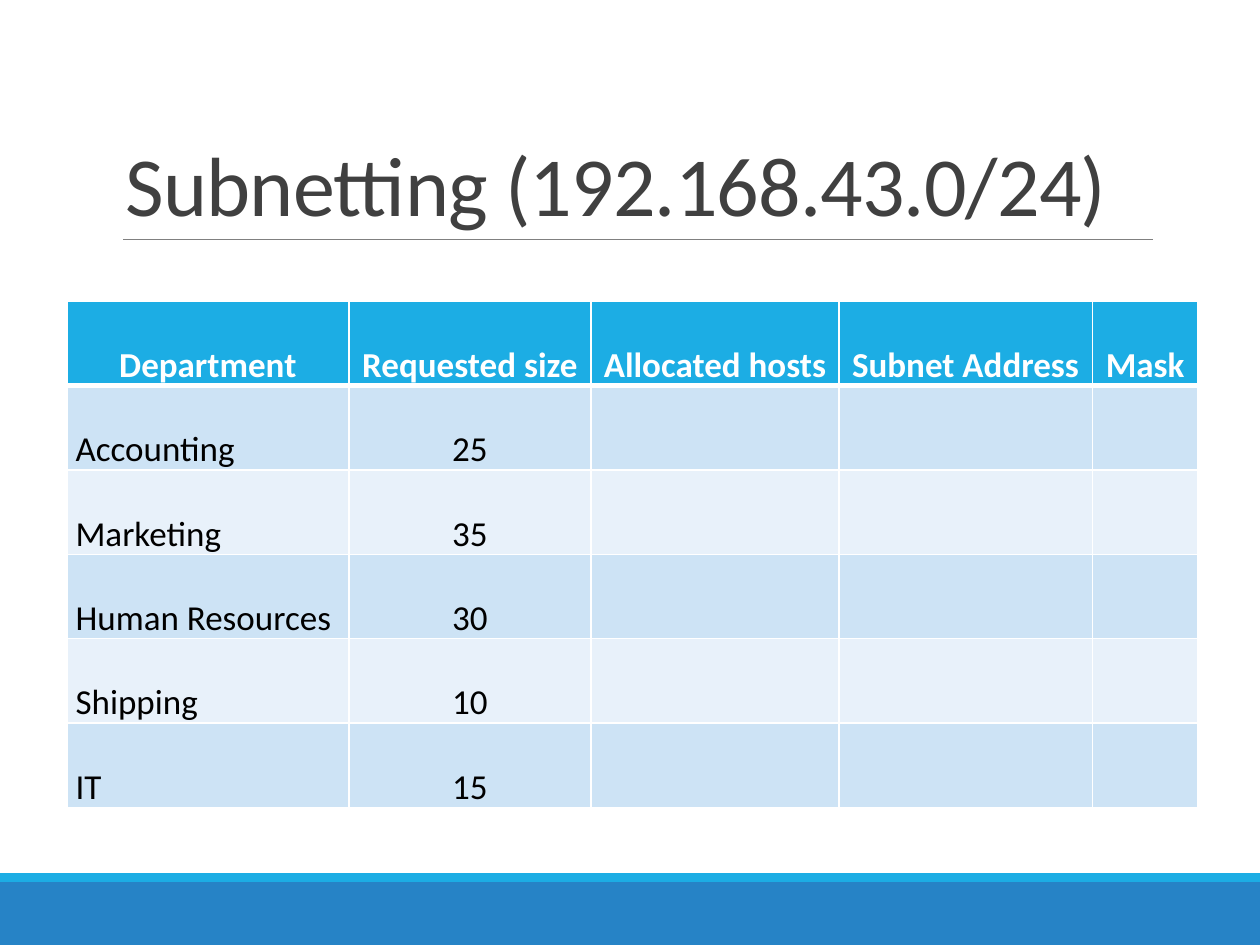
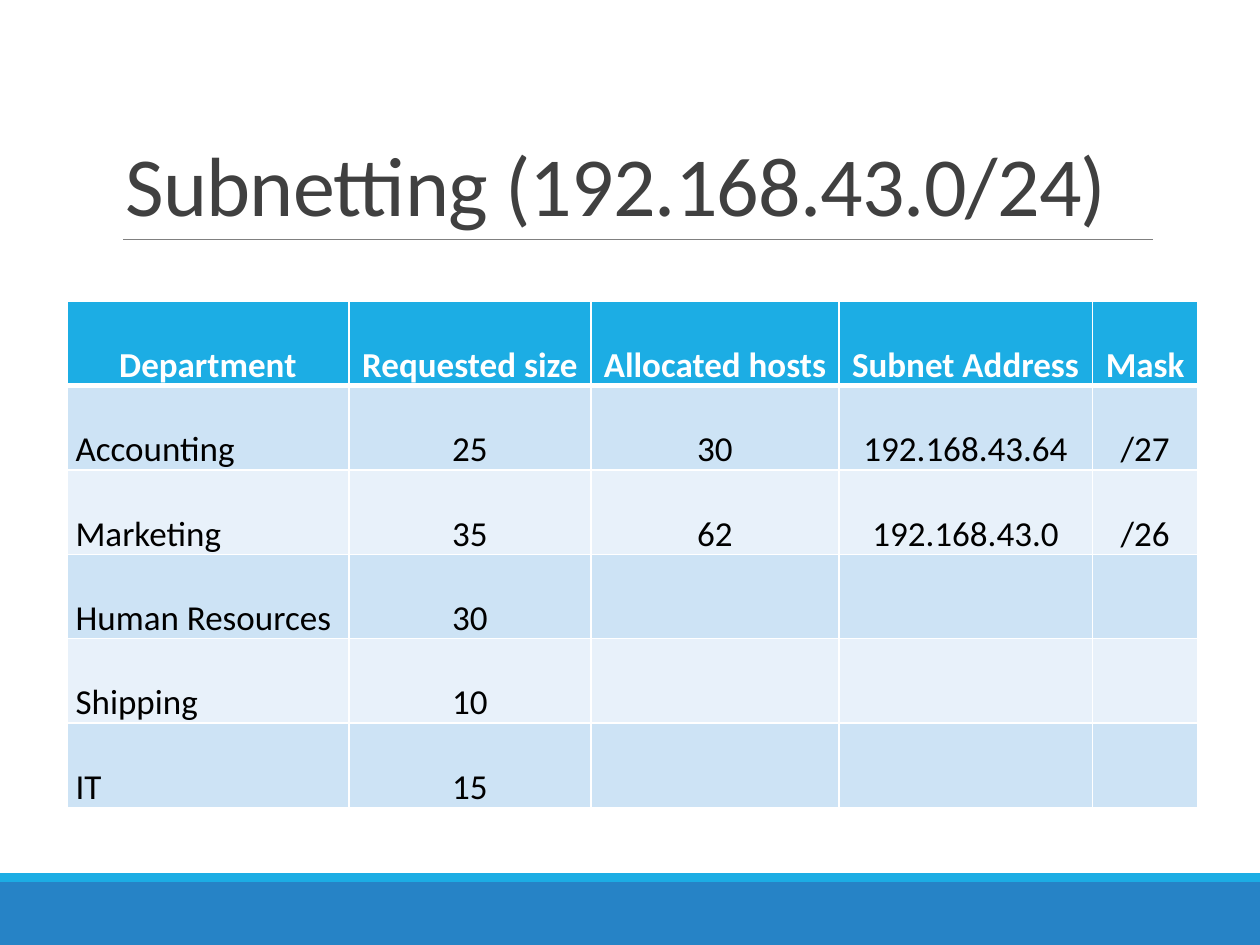
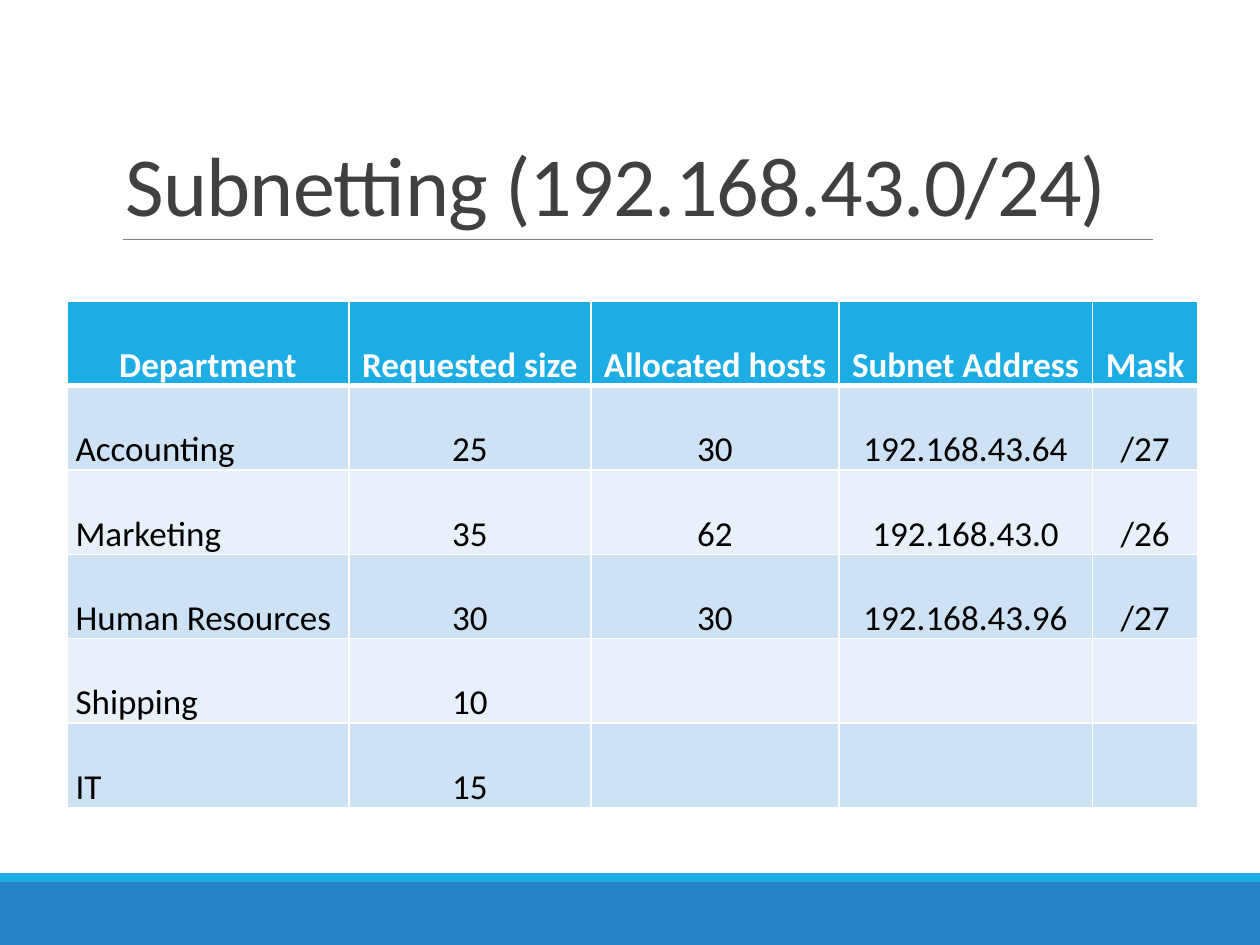
import pptx
import pptx.dml.color
import pptx.enum.shapes
import pptx.enum.text
import pptx.oxml
import pptx.oxml.ns
import pptx.util

EMU_PER_PX = 9144  # 100 px to the inch
PAGE_WIDTH, PAGE_HEIGHT = 1000, 750

FONT = "Calibri"
BLUE, SKY, WHITE, BLACK = "2683C6", "1CADE4", "FFFFFF", "000000"
TITLE_GREY, RULE_GREY = "404040", "808080"
BAND_FILLS = ["CDE3F5", "E8F1FA"]

TITLE = "Subnetting (192.168.43.0/24)"
HEADINGS = ["Department", "Requested size", "Allocated hosts", "Subnet Address", "Mask"]
COLUMN_WIDTHS = [224, 192, 197, 201, 84]
ROW_HEIGHT = 67
REQUESTS = {"Accounting": "25", "Marketing": "35", "Human Resources": "30",
            "Shipping": "10", "IT": "15"}
ALLOCATIONS = {"Accounting": ["30", "192.168.43.64", "/27"],
               "Marketing": ["62", "192.168.43.0", "/26"],
               "Human Resources": ["30", "192.168.43.96", "/27"]}
SOLVED_PER_PAGE = [[], ["Accounting", "Marketing"],
                   ["Accounting", "Marketing", "Human Resources"]]


def px(length):
    return pptx.util.Emu(length * EMU_PER_PX)


def color(code):
    return pptx.dml.color.RGBColor.from_string(code)


def apply(target, values):
    for name, value in values.items():
        setattr(target, name, value)


class SubnetDeck:
    """Holds the deck style and the page being built."""

    def __init__(self):
        self.deck = pptx.Presentation()
        apply(self.deck, {"slide_width": px(PAGE_WIDTH), "slide_height": px(PAGE_HEIGHT)})
        self.page = None

    def add_page(self):
        self.page = self.deck.slides.add_slide(self.deck.slide_layouts[6])
        self.band(700, 50, BLUE)
        self.band(693, 7, SKY)
        self.rule(98, 915, 190)
        self.title(TITLE)

    def band(self, top, height, fill):
        shape = self.page.shapes.add_shape(
            pptx.enum.shapes.MSO_SHAPE.RECTANGLE, 0, px(top), px(PAGE_WIDTH), px(height))
        shape.shadow.inherit = False
        shape.fill.solid()
        shape.fill.fore_color.rgb = color(fill)
        shape.line.fill.background()

    def rule(self, left, right, top):
        line = self.page.shapes.add_connector(
            pptx.enum.shapes.MSO_CONNECTOR.STRAIGHT, px(left), px(top), px(right), px(top))
        line.line.color.rgb = color(RULE_GREY)
        line.line.width = pptx.util.Pt(0.5)
        line._element.spPr.append(pptx.oxml.parse_xml(
            f"<a:effectLst {pptx.oxml.ns.nsdecls('a')}/>"))

    def add_text(self, para, text, size, shade, bold=False, **layout):
        apply(para, layout)
        span = para.add_run()
        span.text = text
        apply(span.font, {"name": FONT, "size": pptx.util.Pt(size), "bold": bold})
        span.font.color.rgb = color(shade)
        return span

    def title(self, text):
        box = self.page.shapes.add_textbox(px(90), px(31), px(825), px(159))
        apply(box.text_frame, {"word_wrap": True,
                               "vertical_anchor": pptx.enum.text.MSO_ANCHOR.BOTTOM})
        span = self.add_text(box.text_frame.paragraphs[0], text, 48, TITLE_GREY,
                             line_spacing=0.85)
        span._r.get_or_add_rPr().set("spc", "-50")

    def borders(self, cell, **widths):
        properties = cell._tc.get_or_add_tcPr()
        for side in "LRTB":
            width = pptx.util.Pt(widths.get(side, 1))
            properties.append(pptx.oxml.parse_xml(
                f'<a:ln{side} {pptx.oxml.ns.nsdecls("a")} w="{width}"><a:solidFill>'
                f'<a:srgbClr val="{WHITE}"/></a:solidFill></a:ln{side}>'))

    def table(self, left, top, rows):
        table = self.page.shapes.add_table(
            len(rows), len(COLUMN_WIDTHS), px(left), px(top),
            px(sum(COLUMN_WIDTHS)), px(ROW_HEIGHT * len(rows))).table
        for column, width in zip(table.columns, COLUMN_WIDTHS):
            column.width = px(width)
        for row_index, texts in enumerate(rows):
            table.rows[row_index].height = px(ROW_HEIGHT)
            for column_index, text in enumerate(texts):
                self.cell(table.cell(row_index, column_index), text, row_index, column_index)

    def cell(self, cell, text, row_index, column_index):
        header = row_index == 0
        apply(cell, {"margin_left": px(7), "margin_right": px(7),
                     "margin_top": 0, "margin_bottom": 0})
        # A thick line parts the header from the body
        self.borders(cell, B=3 if header else 1, T=3 if row_index == 1 else 1)
        cell.fill.solid()
        cell.fill.fore_color.rgb = color(SKY if header else BAND_FILLS[(row_index - 1) % 2])
        if text:
            align = pptx.enum.text.PP_ALIGN
            centred = header or column_index > 0
            self.add_text(cell.text_frame.paragraphs[0], text, 20,
                          WHITE if header else BLACK, bold=header, line_spacing=2.0,
                          alignment=align.CENTER if centred else align.LEFT)


def main():
    builder = SubnetDeck()
    # Each page reveals more of the solved subnets
    for solved in SOLVED_PER_PAGE:
        builder.add_page()
        rows = [[department, size, *(ALLOCATIONS[department] if department in solved
                                     else [""] * 3)]
                for department, size in REQUESTS.items()]
        builder.table(53, 239, [HEADINGS, *rows])
    builder.deck.save("out.pptx")


if __name__ == "__main__":
    main()
